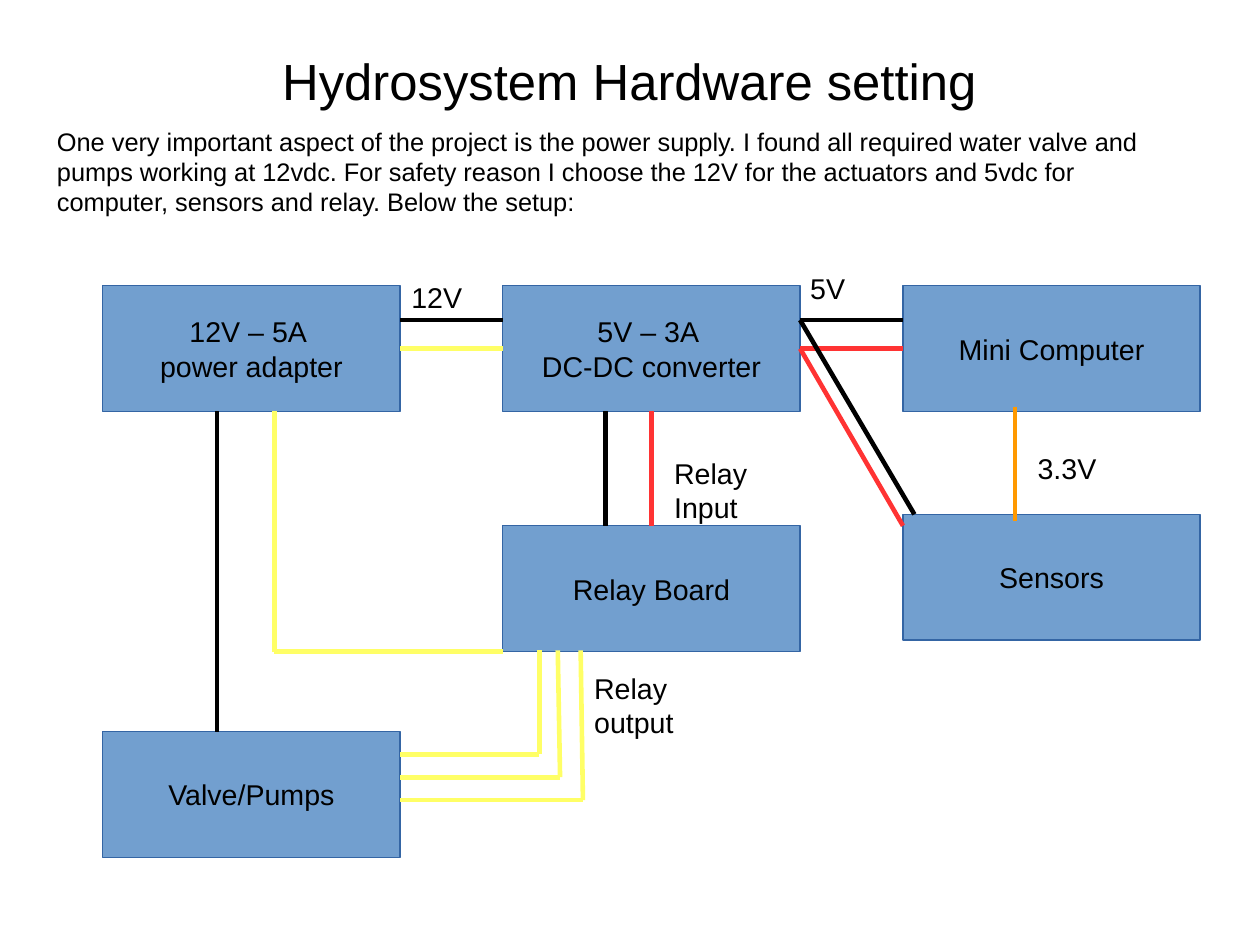
from itertools import pairwise
from pptx import Presentation
from pptx.dml.color import RGBColor
from pptx.enum.shapes import MSO_CONNECTOR, MSO_SHAPE
from pptx.enum.text import MSO_ANCHOR, PP_ALIGN
from pptx.oxml.ns import qn
from pptx.util import Cm, Inches, Pt
from lxml.etree import SubElement

BLACK = RGBColor(0x00, 0x00, 0x00)
YELLOW = RGBColor(0xFF, 0xFF, 0x66)
RED = RGBColor(0xFF, 0x33, 0x33)
ORANGE = RGBColor(0xFF, 0x99, 0x00)
BLUE = RGBColor(0x72, 0x9F, 0xCF)
EDGE = RGBColor(0x34, 0x65, 0xA4)

TITLE = "Hydrosystem Hardware setting"
INTRO = (
    "One very important aspect of the project is the power supply. "
    "I found all required water valve and pumps working at 12vdc. "
    "For safety reason I choose the 12V for the actuators and 5vdc for "
    "computer, sensors and relay. Below the setup:"
)

UNIT = Inches(0.1)
LEFT, STEP, WIDE, HIGH = 9, 35, 26, 11

BOXES = [
    ("12V – 5A \npower adapter", 0, 25),
    ("5V – 3A \nDC-DC converter", 1, 25),
    ("Mini Computer", 2, 25),
    ("Valve/Pumps", 0, 64),
    ("Relay Board", 1, 46),
    ("Sensors", 2, 45),
]

WIRES = [
    (BLACK, [(35, 28), (44, 28)]),
    (YELLOW, [(35, 30.5), (44, 30.5)]),
    (BLACK, [(70, 28), (79, 28)]),
    (RED, [(70, 30.5), (79, 30.5)]),
    (BLACK, [(53, 36), (53, 46)]),
    (RED, [(57, 36), (57, 46)]),
    (BLACK, [(19, 36), (19, 64)]),
    (YELLOW, [(24, 36), (24, 57), (44, 57)]),
    (YELLOW, [(35, 66), (47.2, 66), (47.2, 56.9)]),
    (YELLOW, [(35, 68), (49, 68), (48.8, 56.9)]),
    (YELLOW, [(35, 70), (51, 70), (50.8, 56.9)]),
    (BLACK, [(70, 28), (80, 45)]),
    (ORANGE, [(88.8, 35.6), (88.8, 45.6)]),
    (RED, [(70, 30.5), (79, 46)]),
]

LABELS = [
    ("12V", 35, 24, 3.8),
    ("5V", 69.9, 23.2, 3.8),
    ("Relay output", 51, 58.2, 6.6),
    ("Relay Input", 58, 39.4, 6.6),
    ("3.3V", 89.8, 39, 3.8),
]


def grid(*nums):
    return [round(num * UNIT) for num in nums]


def write(shape, text, size, align=PP_ALIGN.LEFT, wrap=True):
    frame = shape.text_frame
    frame.text = text
    frame.word_wrap = wrap
    for para in frame.paragraphs:
        para.alignment = align
        for run in para.runs:
            run.font.name = "Arial"
            run.font.size = Pt(size)
            run.font.color.rgb = BLACK
    return frame


def add_box(slide, text, left, top):
    box = slide.shapes.add_shape(MSO_SHAPE.RECTANGLE, *grid(left, top, WIDE, HIGH))
    box.shadow.inherit = False
    box.fill.solid()
    box.fill.fore_color.rgb = BLUE
    box.line.color.rgb = EDGE
    box.line.width = Pt(0)
    frame = write(box, text, 18, PP_ALIGN.CENTER, False)
    frame.vertical_anchor = MSO_ANCHOR.MIDDLE
    return box


def add_wire(slide, color, start, end, ports):
    wire = slide.shapes.add_connector(MSO_CONNECTOR.STRAIGHT, *grid(*start, *end))
    wire.line.color.rgb = color
    wire.line.width = Pt(2.89)
    SubElement(wire.element.spPr, qn("a:effectLst"))
    if start in ports:
        wire.begin_connect(*ports[start])
    if end in ports:
        wire.end_connect(*ports[end])


def main():
    deck = Presentation()
    deck.slide_width, deck.slide_height = Cm(28), Cm(21)
    slide = deck.slides.add_slide(deck.slide_layouts[6])

    title = slide.shapes.add_textbox(*grid(5.5, 3, 99.2, 8.1))
    frame = write(title, TITLE, 32, PP_ALIGN.CENTER)
    frame.vertical_anchor = MSO_ANCHOR.MIDDLE
    frame.margin_left = frame.margin_right = 0
    frame.margin_top = frame.margin_bottom = 0
    write(slide.shapes.add_textbox(*grid(4, 10.5, 98.5, 8.5)), INTRO, 16)

    ports = {}
    for text, col, top in BOXES:
        left = LEFT + col * STEP
        box = add_box(slide, text, left, top)
        mid, half = left + WIDE / 2, top + HIGH / 2
        sides = [(mid, top), (left, half), (mid, top + HIGH), (left + WIDE, half)]
        for site, point in enumerate(sides):
            ports[point] = (box, site)

    for color, points in WIRES:
        for start, end in pairwise(points):
            add_wire(slide, color, start, end, ports)

    for text, left, top, high in LABELS:
        write(slide.shapes.add_textbox(*grid(left, top, 9, high)), text, 18)

    deck.save("out.pptx")


if __name__ == "__main__":
    main()
